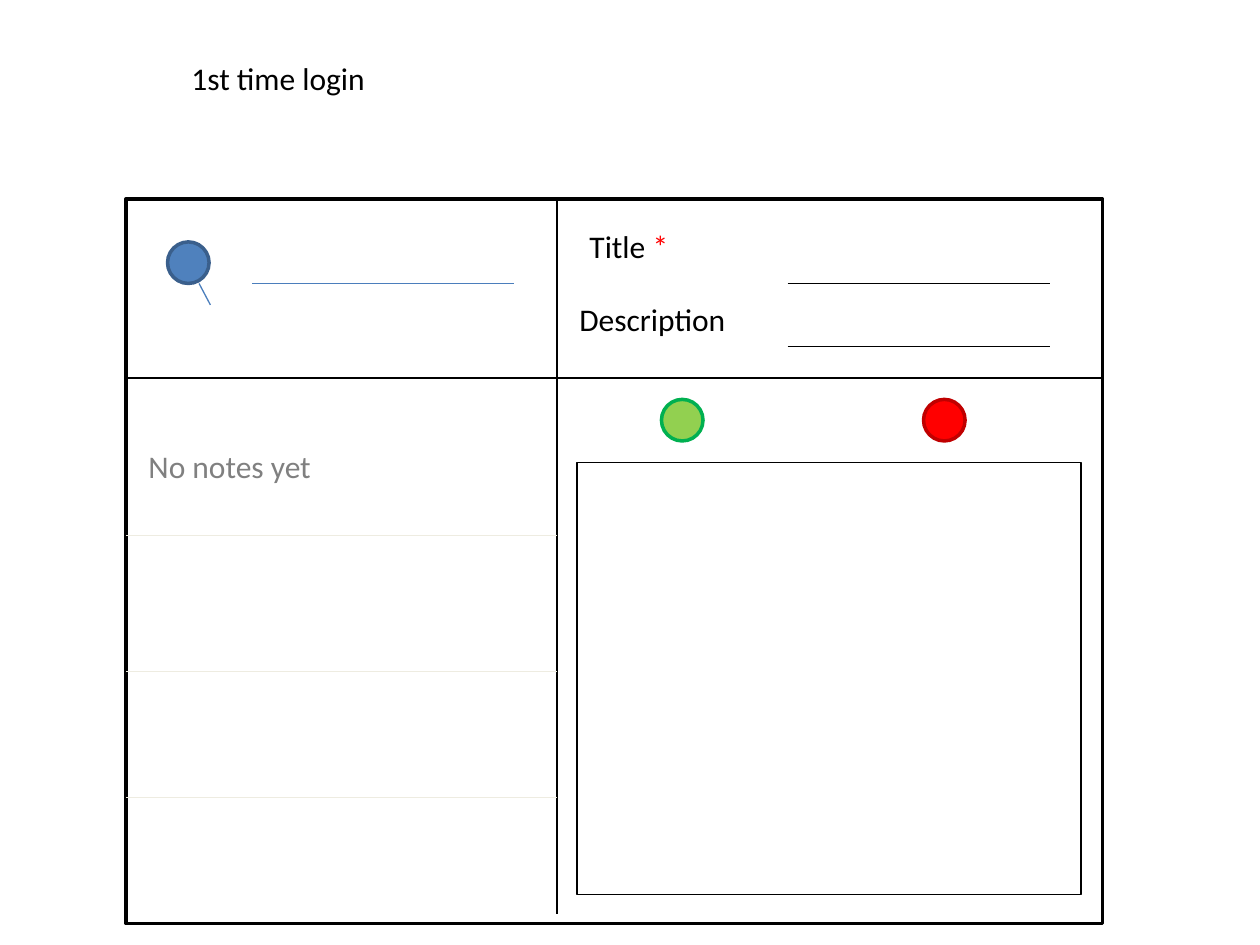
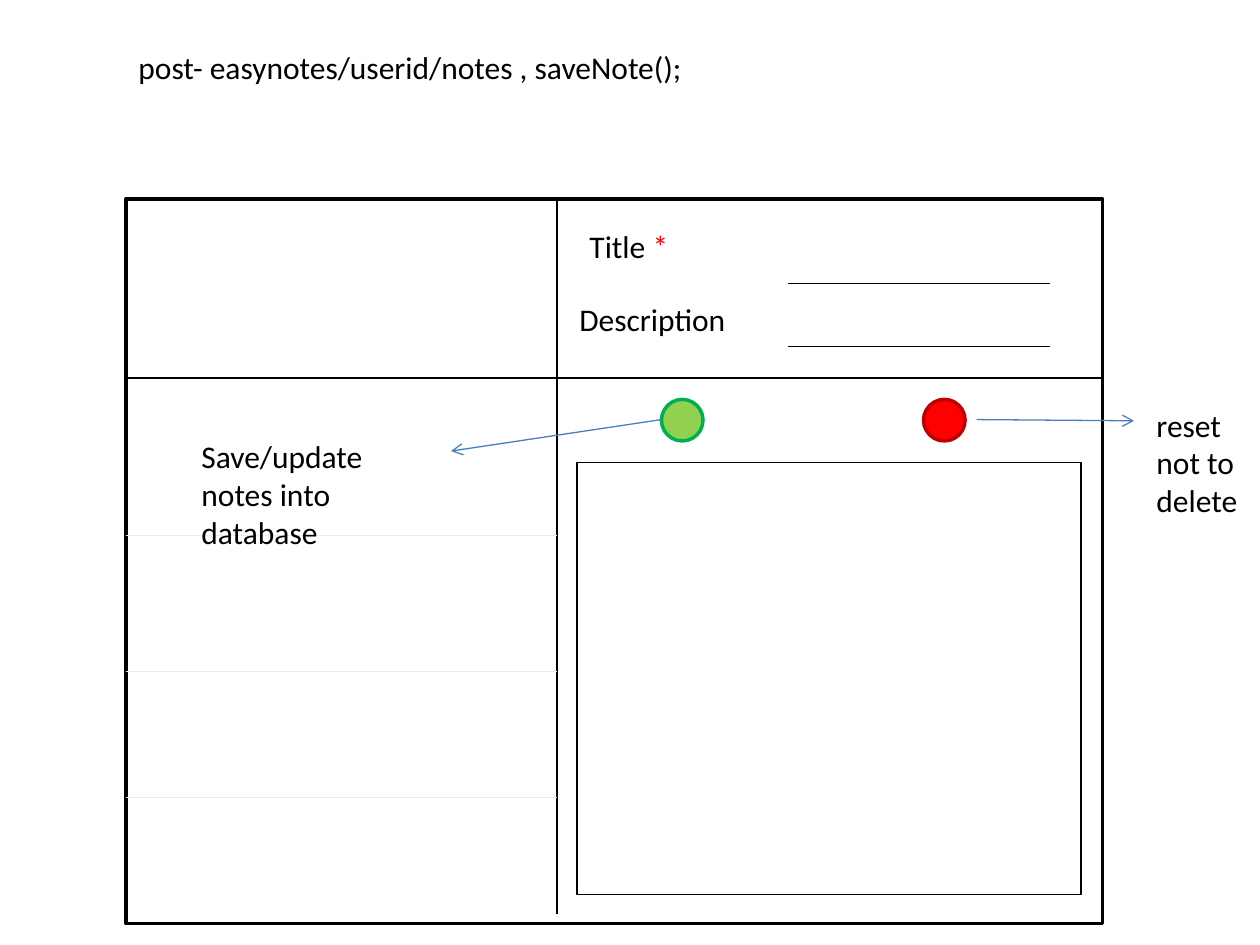
from lxml.etree import SubElement
from pptx import Presentation
from pptx.dml.color import RGBColor
from pptx.enum.shapes import MSO_CONNECTOR, MSO_SHAPE
from pptx.enum.text import MSO_AUTO_SIZE
from pptx.oxml.ns import qn
from pptx.util import Inches, Pt

BLACK = RGBColor(0x00, 0x00, 0x00)
WHITE = RGBColor(0xFF, 0xFF, 0xFF)
GRAY = RGBColor(0x80, 0x80, 0x80)
CREAM = RGBColor(0xEE, 0xEC, 0xE1)
BLUE = RGBColor(0x4F, 0x81, 0xBD)
NAVY = RGBColor(0x3A, 0x5F, 0x8C)
STEEL = RGBColor(0x4B, 0x7E, 0xBC)
LIME = RGBColor(0x92, 0xD0, 0x50)
GREEN = RGBColor(0x00, 0xB0, 0x50)
RED = RGBColor(0xFF, 0x00, 0x00)
MAROON = RGBColor(0xC0, 0x00, 0x00)

FONT = {"name": "Calibri", "size": Pt(18)}
FRAME = {"word_wrap": True, "auto_size": MSO_AUTO_SIZE.SHAPE_TO_FIT_TEXT}
LEFT, TOP, WIDTH, HEIGHT = 1, 1.58, 7.75, 5.75
MID, BAR, DOT = 4.42, 3, 0.33


def add_rule(slide, ends, color, arrow=False):
    rule = slide.shapes.add_connector(MSO_CONNECTOR.STRAIGHT, *map(Inches, ends))
    rule.line.color.rgb = color
    rule.line.width = Pt(0.75)
    props = rule._element.spPr
    if arrow:
        SubElement(props.find(qn("a:ln")), qn("a:tailEnd"), type="arrow")
    SubElement(props, qn("a:effectLst"))


def add_form(slide, kind, box, fill, edge, width):
    form = slide.shapes.add_shape(kind, *map(Inches, box))
    form.shadow.inherit = False
    if fill is None:
        form.fill.background()
    else:
        form.fill.solid()
        form.fill.fore_color.rgb = fill
    form.line.color.rgb = edge
    form.line.width = Pt(width)


login = {
    "dots": [(1.33, 1.92, BLUE, NAVY)],
    "rules": [((2, 2.25, 4.08, 2.25), False), ((1.58, 2.25, 1.67, 2.42), False)],
    "texts": [
        ((1.08, 3.5, 3.08, 0.4), [("No notes yet", GRAY)]),
        ((1.42, 0.42, 7.08, 0.4), [("1st time login", BLACK)]),
    ],
}
save = {
    "dots": [],
    "rules": [((5.25, 3.33, 3.58, 3.58), True), ((7.75, 3.33, 9, 3.34), True)],
    "texts": [
        ((1.5, 3.42, 1.92, 1.01), [("Save/update notes into database", BLACK)]),
        ((9.08, 3.17, 0.92, 1.01), [("reset not to delete", BLACK)]),
        ((1, 0.33, 8.08, 0.4), [("post- easynotes/userid/notes , saveNote();", BLACK)]),
    ],
}
labels = [
    ((4.58, 1.75, 1.5, 0.4), [("Title ", BLACK), ("*", RED)]),
    ((4.5, 2.33, 1.5, 0.4), [("Description", BLACK)]),
]
buttons = [(5.25, 3.17, LIME, GREEN), (7.33, 3.17, RED, MAROON)]

deck = Presentation()
deck.slide_width = Inches(10)
deck.slide_height = Inches(7.5)

for page in (login, save):
    slide = deck.slides.add_slide(deck.slide_layouts[6])

    add_form(slide, MSO_SHAPE.RECTANGLE, (LEFT, TOP, WIDTH, HEIGHT), WHITE, BLACK, 2)
    add_rule(slide, (MID, TOP, MID, 7.25), BLACK)
    for y in (2.25, 2.75):
        add_rule(slide, (6.25, y, 8.33, y), BLACK)
    add_rule(slide, (LEFT, BAR, LEFT + WIDTH, BAR), BLACK)
    for y in (4.25, 5.33, 6.33):
        add_rule(slide, (LEFT, y, MID, y), CREAM)

    for x, y, fill, edge in page["dots"] + buttons:
        add_form(slide, MSO_SHAPE.OVAL, (x, y, DOT, DOT), fill, edge, 2)
    add_form(slide, MSO_SHAPE.RECTANGLE, (4.58, 3.67, 4, 3.43), None, BLACK, 0.75)
    for ends, arrow in page["rules"]:
        add_rule(slide, ends, STEEL, arrow)

    for box, parts in labels + page["texts"]:
        frame = slide.shapes.add_textbox(*map(Inches, box)).text_frame
        for key, value in FRAME.items():
            setattr(frame, key, value)
        for words, color in parts:
            run = frame.paragraphs[0].add_run()
            run.text = words
            run.font.color.rgb = color
            for key, value in FONT.items():
                setattr(run.font, key, value)

deck.save("out.pptx")
